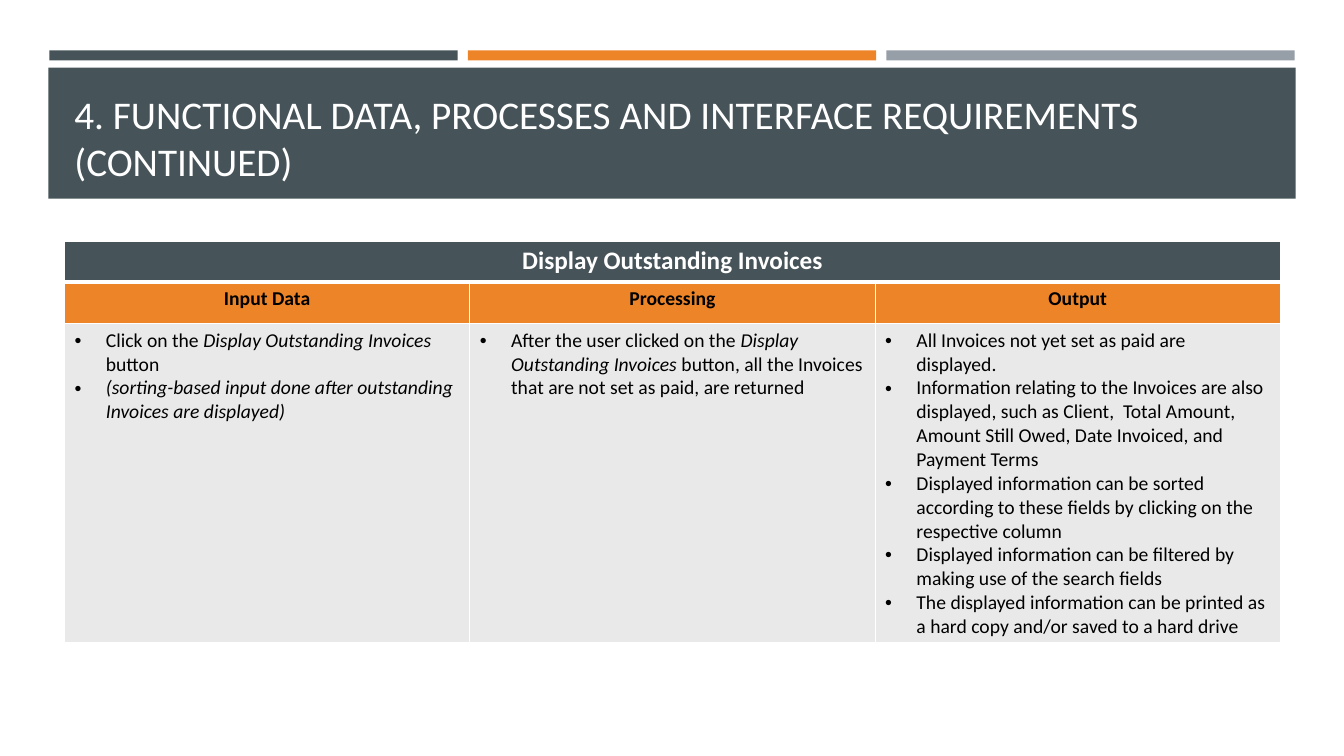
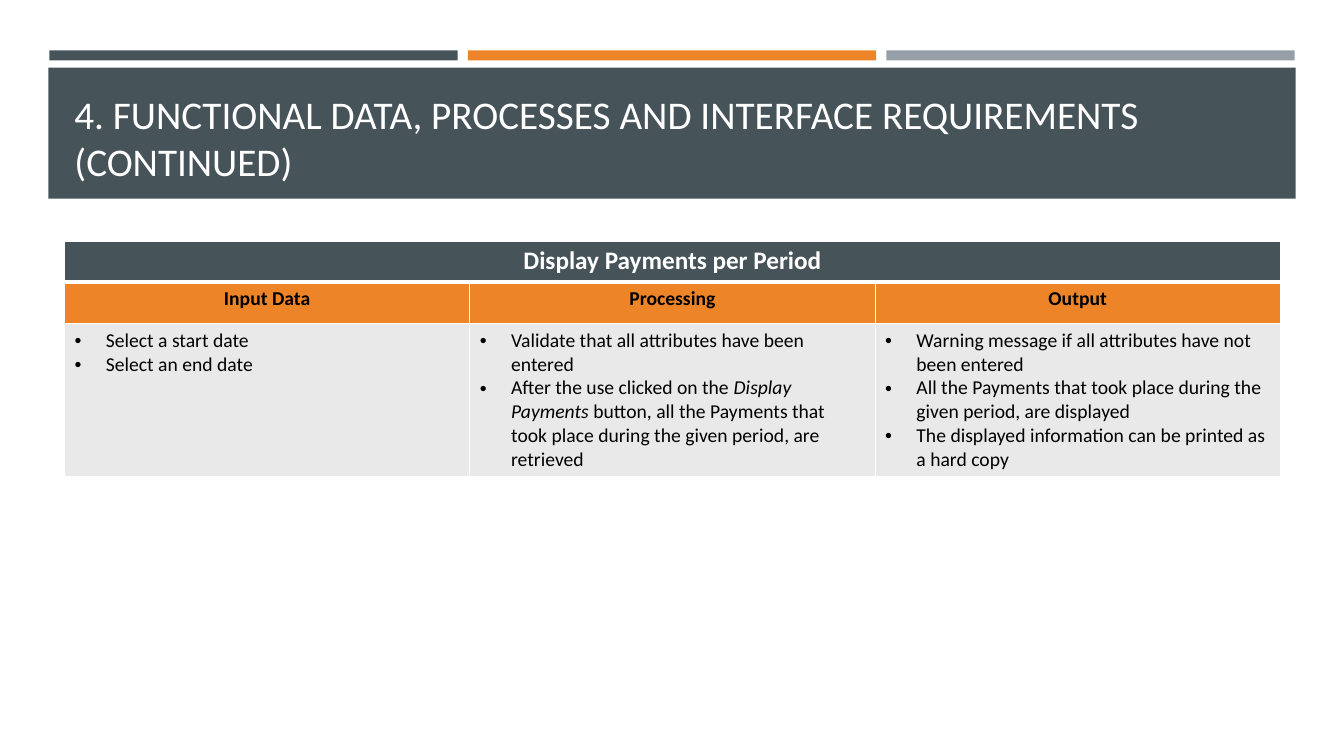
import lxml.etree
import pptx
import pptx.dml.color
import pptx.enum.shapes
import pptx.enum.text
import pptx.oxml
import pptx.oxml.ns
import pptx.util

Inches = pptx.util.Inches
Pt = pptx.util.Pt
RGB = pptx.dml.color.RGBColor.from_string
CENTER = pptx.enum.text.PP_ALIGN.CENTER
qn = pptx.oxml.ns.qn

COLORS = {
    "slate": "465359",
    "orange": "ED8428",
    "gray": "969FA7",
    "pale": "E9E9EA",
    "white": "FFFFFF",
    "black": "000000",
}
FONT = "Calibri"
TITLE = "4. FUNCTIONAL DATA, PROCESSES AND INTERFACE REQUIREMENTS (CONTINUED)"
HEADINGS = ["Input Data", "Processing", "Output"]
MARGIN, CONTENT_WIDTH = 0.64, 12.06
STRIPE_WIDTH, STRIPE_STEP = 4.05, 4.15
HEADER_HEIGHT = 0.41

# Text between asterisks is italic.
FUNCTIONS = [
    {
        "name": "Display Outstanding Invoices",
        "body_height": 3.17,
        "columns": [
            [
                "Click on the *Display Outstanding Invoices* button",
                "*(sorting-based input done after outstanding Invoices are displayed)*",
            ],
            [
                "After the user clicked on the *Display Outstanding Invoices* button, "
                "all the Invoices that are not set as paid, are returned",
            ],
            [
                "All Invoices not yet set as paid are displayed.",
                "Information relating to the Invoices are also displayed, such as Client,  "
                "Total Amount, Amount Still Owed, Date Invoiced, and Payment Terms",
                "Displayed information can be sorted according to these fields by "
                "clicking on the respective column",
                "Displayed information can be filtered by making use of the search fields",
                "The displayed information can be printed as a hard copy and/or saved "
                "to a hard drive",
            ],
        ],
    },
    {
        "name": "Display Payments per Period",
        "body_height": 1.52,
        "columns": [
            ["Select a start date", "Select an end date"],
            [
                "Validate that all attributes have been entered",
                "After the use clicked on the *Display Payments* button, all the "
                "Payments that took place during the given period, are retrieved",
            ],
            [
                "Warning message if all attributes have not been entered",
                "All the Payments that took place during the given period, are displayed",
                "The displayed information can be printed as a hard copy",
            ],
        ],
    },
]


def add_text(paragraph, text, size, color, bold=False):
    """Add the text as runs, with the parts between asterisks in italic."""
    for index, part in enumerate(text.split("*")):
        if part:
            run = paragraph.add_run()
            run.text = part
            run.font.name = FONT
            run.font.size = Pt(size)
            run.font.bold = bold
            run.font.italic = index % 2 == 1
            run.font.color.rgb = RGB(COLORS[color])


def style_cell(cell, fill, top=1, bottom=1):
    """Give a cell its fill and white borders, with widths in points."""
    properties = cell._tc.get_or_add_tcPr()
    for side, width in (("L", 1), ("R", 1), ("T", top), ("B", bottom)):
        border = lxml.etree.SubElement(properties, qn(f"a:ln{side}"), w=str(Pt(width)))
        solid = lxml.etree.SubElement(border, qn("a:solidFill"))
        lxml.etree.SubElement(solid, qn("a:srgbClr"), val=COLORS["white"])
    cell.fill.solid()
    cell.fill.fore_color.rgb = RGB(COLORS[fill])


deck = pptx.Presentation()
deck.slide_width = Inches(13.33)
deck.slide_height = Inches(7.5)

bands = [
    (0.49 + index * STRIPE_STEP, 0.5, STRIPE_WIDTH, 0.1, color)
    for index, color in enumerate(["slate", "orange", "gray"])
]
bands.append((0.48, 0.67, 12.37, 1.3, "slate"))

for function in FUNCTIONS:
    slide = deck.slides.add_slide(deck.slide_layouts[6])

    for left, top, width, height, color in bands:
        band = slide.shapes.add_shape(
            pptx.enum.shapes.MSO_SHAPE.RECTANGLE,
            Inches(left), Inches(top), Inches(width), Inches(height),
        )
        band.shadow.inherit = False
        band.fill.solid()
        band.fill.fore_color.rgb = RGB(COLORS[color])
        band.line.fill.background()

    title = slide.shapes.add_textbox(
        Inches(MARGIN), Inches(0.77), Inches(CONTENT_WIDTH), Inches(1.11)
    ).text_frame
    title.word_wrap = True
    title.vertical_anchor = pptx.enum.text.MSO_ANCHOR.BOTTOM
    add_text(title.paragraphs[0], TITLE, 28, "white")

    heights = [HEADER_HEIGHT, HEADER_HEIGHT, function["body_height"]]
    table = slide.shapes.add_table(
        3, 3, Inches(MARGIN), Inches(2.39), Inches(CONTENT_WIDTH), Inches(sum(heights))
    ).table
    table.first_row = False
    table.horz_banding = False
    for row, height in zip(table.rows, heights):
        row.height = Inches(height)
    for column in table.columns:
        column.width = Inches(CONTENT_WIDTH / 3)

    name_cell = table.cell(0, 0)
    name_cell.merge(table.cell(0, 2))
    name = name_cell.text_frame.paragraphs[0]
    name.alignment = CENTER
    add_text(name, function["name"], 18, "white", bold=True)

    for index, (heading, items) in enumerate(zip(HEADINGS, function["columns"])):
        style_cell(table.cell(0, index), "slate", bottom=3)

        heading_cell = table.cell(1, index)
        style_cell(heading_cell, "orange", top=3)
        paragraph = heading_cell.text_frame.paragraphs[0]
        paragraph.alignment = CENTER
        add_text(paragraph, heading, 14, "black", bold=True)

        body_cell = table.cell(2, index)
        style_cell(body_cell, "pale")
        body = body_cell.text_frame
        for number, item in enumerate(items):
            paragraph = body.add_paragraph() if number else body.paragraphs[0]
            properties = paragraph._p.get_or_add_pPr()
            properties.set("marL", str(Inches(0.31)))
            properties.set("indent", str(Inches(-0.31)))
            lxml.etree.SubElement(properties, qn("a:buFont"), typeface="Arial")
            lxml.etree.SubElement(properties, qn("a:buChar"), char="•")
            add_text(paragraph, item, 14, "black")

deck.save("out.pptx")
